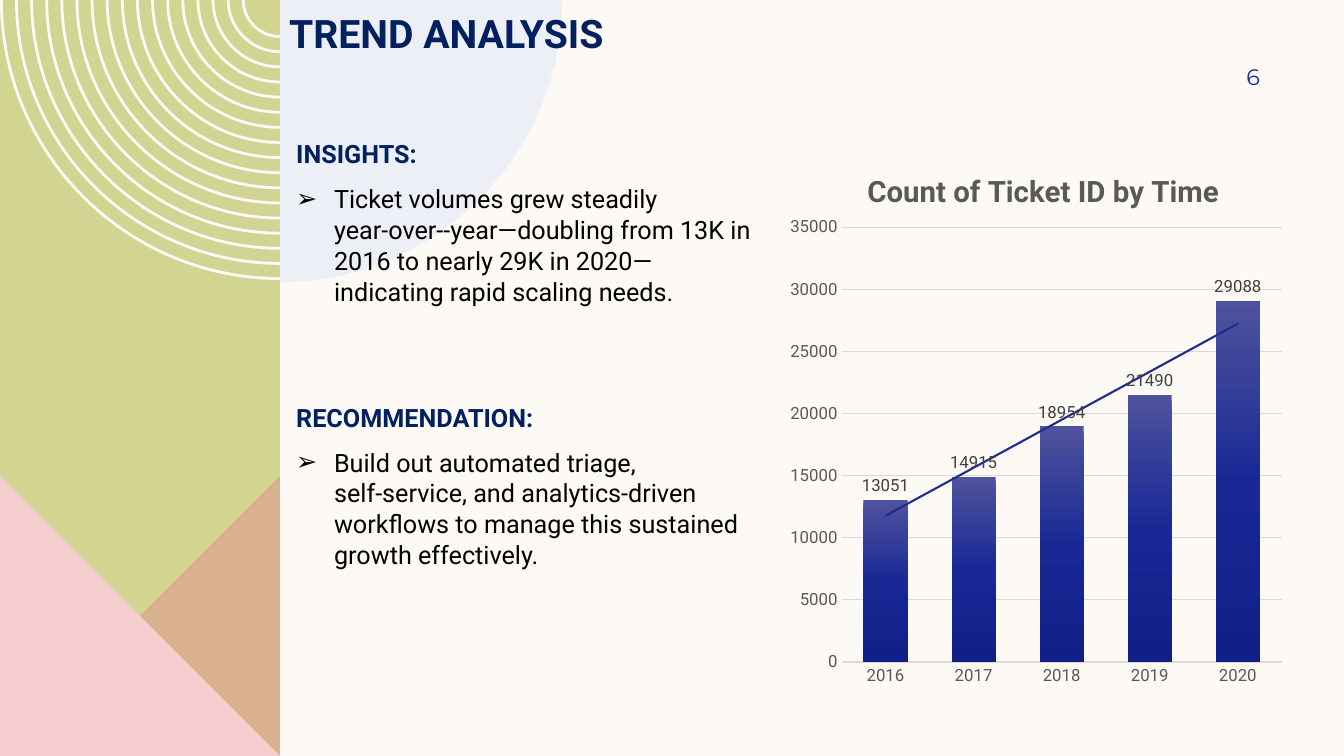
from copy import deepcopy

from lxml.etree import SubElement
from pptx import Presentation
from pptx.chart.data import CategoryChartData
from pptx.dml.color import RGBColor
from pptx.enum.chart import XL_CHART_TYPE, XL_LABEL_POSITION, XL_TICK_MARK
from pptx.enum.text import MSO_ANCHOR, MSO_AUTO_SIZE, PP_ALIGN
from pptx.oxml import parse_xml
from pptx.oxml.ns import nsdecls, qn
from pptx.util import Emu, Pt

COLUMNS, ROWS = 48, 27
CELL = 254000  # one square grid cell; the slide is 48 by 27 cells
SIDEBAR = 10

CREAM, NAVY, INDIGO, GREY = "FDFAF6", "002060", "1F2C8F", "595959"
HEADING = {"name": "Roboto", "size": Pt(18), "bold": True}
BODY = {**HEADING, "bold": False}
TITLE = {**HEADING, "size": Pt(28)}
CHART_TITLE = {**HEADING, "size": Pt(21)}
CHART_TEXT = {"name": "Roboto", "size": Pt(12)}
PAGE_NUMBER = {"name": "Montserrat", "size": Pt(16)}

ADVICE = [
    ("INSIGHTS:", 10,
     "Ticket volumes grew steadily year‑over‑-year—doubling from 13K in 2016 "
     "to nearly 29K in 2020—indicating rapid scaling needs."),
    ("RECOMMENDATION:", 68,
     "Build out automated triage, self‑service, and analytics-driven "
     "workflows to manage this sustained growth effectively."),
]
TICKETS = {"2016": 13051, "2017": 14915, "2018": 18954, "2019": 21490, "2020": 29088}
BAR_GRADIENT = [(0, "4F539D"), (0.5, "192895"), (1, "121F89")]


def rgb(value):
    return RGBColor.from_string(value)


def cells(*counts):
    return [Emu(round(count * CELL)) for count in counts]


def apply(target, values):
    for name, value in values.items():
        setattr(target, name, value)


def style_font(font, values, color):
    apply(font, values)
    font.color.rgb = rgb(color)


def write(paragraph, text, values, color):
    run = paragraph.add_run()
    run.text = text
    style_font(run.font, values, color)


def place(shape, left, top, width, height):
    box = cells(left, top, width, height)
    apply(shape, dict(zip(("left", "top", "width", "height"), box)))


def quarter_arc(radius, side):
    """Bezier points from the slide's top edge down to the sidebar's right edge."""
    pull = 0.55 * radius
    return [(SIDEBAR + side * radius, 0), (SIDEBAR + side * radius, pull),
            (SIDEBAR + side * pull, radius), (SIDEBAR, radius)]


def bend(shape):
    """Turn each group of four points into a start point and one Bezier curve."""
    outline = shape._element.find(".//" + qn("a:path"))
    step, curve = 0, None
    for node in list(outline):
        if node.tag == qn("a:moveTo"):
            step = 0
        elif node.tag == qn("a:lnTo"):
            step += 1
            if step % 4 == 1:
                curve = SubElement(outline, qn("a:cubicBezTo"))
                node.addprevious(curve)
            if step % 4:
                curve.append(node[0])
                outline.remove(node)


def draw_outline(slide, contours, color, opacity=100, curved=False):
    builder = None
    for contour in contours:
        points = [cells(*point) for point in contour]
        if builder is None:
            builder = slide.shapes.build_freeform(*points[0])
        else:
            builder.move_to(*points[0])
        builder.add_line_segments(points[1:], close=True)
    shape = builder.convert_to_shape()
    if curved:
        bend(shape)
    shape.shadow.inherit = False
    shape.fill.solid()
    shape.fill.fore_color.rgb = rgb(color)
    shape.line.fill.background()
    if opacity < 100:
        tint = shape._element.spPr.find(".//" + qn("a:srgbClr"))
        SubElement(tint, qn("a:alpha"), val=str(opacity * 1000))


def draw_decoration(slide):
    fold = ROWS - SIDEBAR
    draw_outline(slide, [[(0, 0), (SIDEBAR, 0), (SIDEBAR, ROWS), (0, ROWS)]], "D2D592")
    radii = [10 - 0.54 * i for i in range(17)]
    rings = [quarter_arc(r, -1) + quarter_arc(r - 0.1, -1)[::-1] for r in radii]
    draw_outline(slide, rings, CREAM, curved=True)
    draw_outline(slide, [[(SIDEBAR, fold), (SIDEBAR, ROWS), (0, ROWS)]], "DE8C8C", 50)
    draw_outline(slide, [[(0, fold), (SIDEBAR, ROWS), (0, ROWS)]], "F5CDCE")
    draw_outline(slide, [quarter_arc(10.08, 1) + [(SIDEBAR, 0)]], "DDE7F6", 50, curved=True)


def set_bullet(paragraph, char=None):
    properties = paragraph._p.get_or_add_pPr()
    indent = Pt(27) if char else 0
    properties.set("marL", str(int(indent)))
    properties.set("indent", str(-int(indent)))
    if char:
        SubElement(properties, qn("a:buChar"), char=char)
    else:
        SubElement(properties, qn("a:buNone"))


def fill_title(title):
    place(title, 9.97, 0.14, 13.54, 2.05)
    apply(title.text_frame, {"vertical_anchor": MSO_ANCHOR.TOP, "word_wrap": True,
                             "auto_size": MSO_AUTO_SIZE.NONE})
    heading = title.text_frame.paragraphs[0]
    heading.alignment = PP_ALIGN.LEFT
    write(heading, "TREND ANALYSIS", TITLE, NAVY)


def fill_advice(body):
    place(body, 10.22, 4.93, 17.2, 19.9)
    frame = body.text_frame
    apply(frame, {"margin_top": 0, "margin_bottom": 0, "word_wrap": True,
                  "auto_size": MSO_AUTO_SIZE.NONE})
    lines = []
    for heading, gap, detail in ADVICE:
        lines.append((heading, gap, HEADING, NAVY, None))
        lines.append((detail, 10, BODY, "000000", "➢"))
    for index, (text, gap, values, color, bullet) in enumerate(lines):
        paragraph = frame.add_paragraph() if index else frame.paragraphs[0]
        apply(paragraph, {"space_before": Pt(gap), "line_spacing": 1.02,
                          "alignment": PP_ALIGN.LEFT})
        set_bullet(paragraph, bullet)
        write(paragraph, text, values, color)


def add_page_number(slide):
    frame = slide.shapes.add_textbox(*cells(40.79, 1.8, 4.21, 1.87)).text_frame
    apply(frame, {"margin_right": 0, "word_wrap": True,
                  "vertical_anchor": MSO_ANCHOR.MIDDLE})
    frame.paragraphs[0].alignment = PP_ALIGN.RIGHT
    write(frame.paragraphs[0], "6", PAGE_NUMBER, INDIGO)


def set_layout(parent, before, x, y, size="", target=""):
    for existing in parent.findall(qn("c:layout")):
        parent.remove(existing)
    parent.find(qn(before)).addprevious(parse_xml(
        f'<c:layout {nsdecls("c")}><c:manualLayout>{target}'
        '<c:xMode val="edge"/><c:yMode val="edge"/>'
        f'<c:x val="{x}"/><c:y val="{y}"/>{size}</c:manualLayout></c:layout>'))


def style_axis(axis, line_color=None):
    apply(axis, {"major_tick_mark": XL_TICK_MARK.NONE, "minor_tick_mark": XL_TICK_MARK.NONE})
    style_font(axis.tick_labels.font, CHART_TEXT, GREY)
    if line_color:
        axis.format.line.color.rgb = rgb(line_color)
        axis.format.line.width = Pt(1)
    else:
        axis.format.line.fill.background()


def style_bars(plot):
    apply(plot, {"gap_width": 100, "overlap": -24, "vary_by_categories": False,
                 "has_data_labels": True})
    bars = plot.series[0]
    fill = bars.format.fill
    fill.gradient()
    fill.gradient_angle = 270
    stops = bars._element.find(".//" + qn("a:gsLst"))
    stops.append(deepcopy(stops[-1]))
    for stop, (position, color) in zip(fill.gradient_stops, BAR_GRADIENT):
        stop.position = position
        stop.color.rgb = rgb(color)
    apply(plot.data_labels, {"show_value": True, "position": XL_LABEL_POSITION.OUTSIDE_END})
    style_font(plot.data_labels.font, CHART_TEXT, "404040")
    bars._element.find(qn("c:cat")).addprevious(parse_xml(
        f'<c:trendline {nsdecls("c", "a")}><c:spPr><a:ln w="{int(Pt(1.5))}" cap="rnd">'
        f'<a:solidFill><a:srgbClr val="{INDIGO}"/></a:solidFill></a:ln></c:spPr>'
        '<c:trendlineType val="linear"/><c:dispRSqr val="0"/><c:dispEq val="0"/>'
        '</c:trendline>'))


def add_ticket_chart(slide):
    data = CategoryChartData()
    data.categories = list(TICKETS)
    data.add_series("Series 1", list(TICKETS.values()))
    chart = slide.shapes.add_chart(XL_CHART_TYPE.COLUMN_CLUSTERED,
                                   *cells(27.86, 4.93, 18.29, 19.91), data).chart
    apply(chart, {"has_legend": False, "has_title": True})
    style_font(chart.font, {**CHART_TEXT, "size": Pt(10)}, "000000")
    write(chart.chart_title.text_frame.paragraphs[0], "Count of Ticket ID by Time",
          CHART_TITLE, GREY)
    set_layout(chart.chart_title._element, "c:overlay", 0.16, 0.05)
    set_layout(chart._chartSpace.chart.plotArea, "c:barChart", 0.12, 0.16,
               '<c:w val="0.86"/><c:h val="0.78"/>', '<c:layoutTarget val="inner"/>')
    style_axis(chart.category_axis, "D9D9D9")
    style_axis(chart.value_axis)
    apply(chart.value_axis, {"minimum_scale": 0, "maximum_scale": 35000, "major_unit": 5000})
    grid = chart.value_axis.major_gridlines.format.line
    grid.color.rgb = rgb("D9D9D9")
    grid.width = Pt(0.75)
    style_bars(chart.plots[0])


def main():
    deck = Presentation()
    deck.slide_width, deck.slide_height = cells(COLUMNS, ROWS)
    slide = deck.slides.add_slide(deck.slide_layouts[1])
    slide.background.fill.solid()
    slide.background.fill.fore_color.rgb = rgb(CREAM)
    title, body = slide.placeholders
    draw_decoration(slide)
    for text_part in (body, title):
        slide.shapes._spTree.append(text_part._element)
    fill_advice(body)
    add_page_number(slide)
    add_ticket_chart(slide)
    fill_title(title)
    deck.save("out.pptx")


if __name__ == "__main__":
    main()
